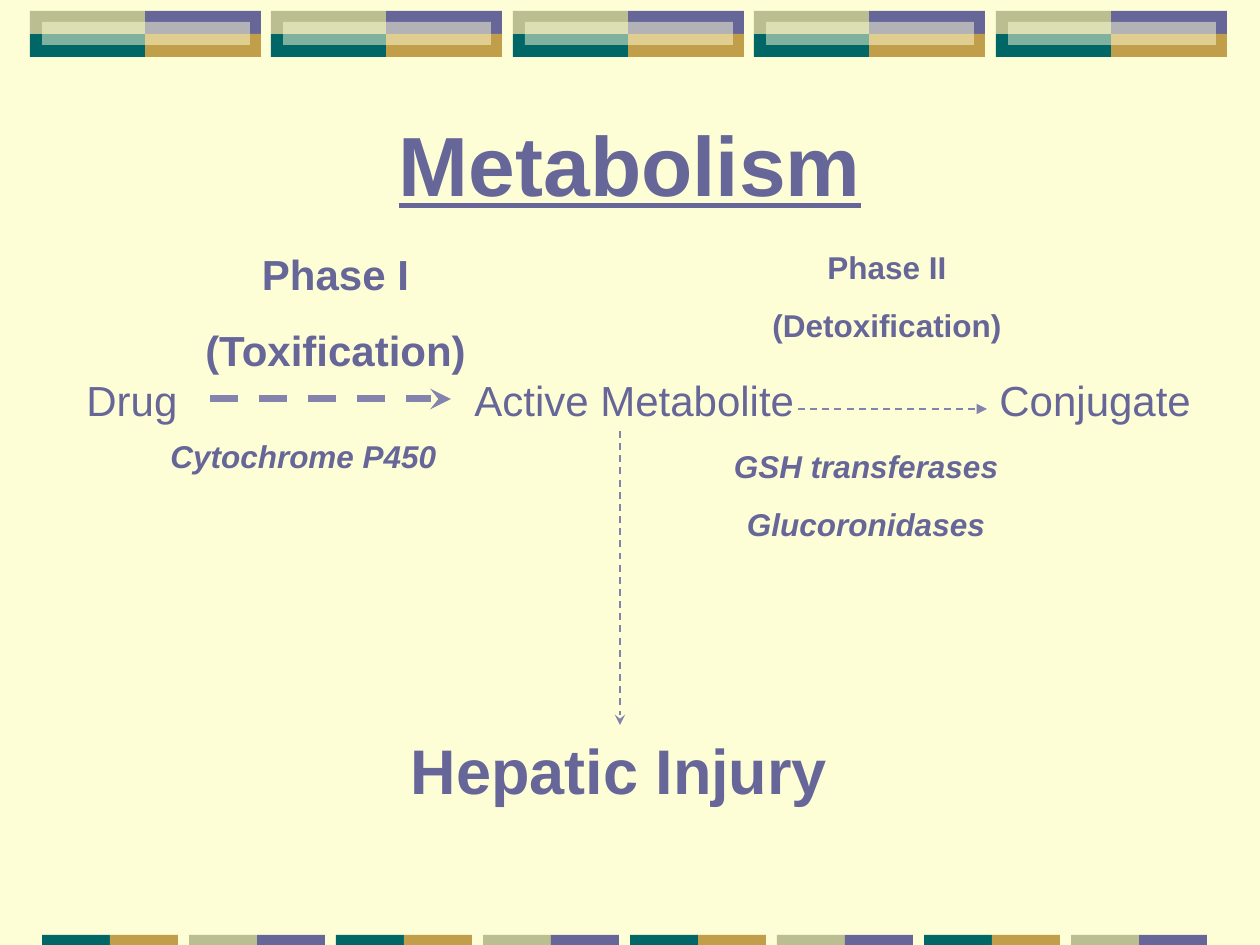
from lxml.etree import SubElement
from pptx import Presentation
from pptx.dml.color import RGBColor
from pptx.enum.dml import MSO_LINE as Dash
from pptx.enum.shapes import MSO_CONNECTOR as Connector, MSO_SHAPE as Shape
from pptx.enum.text import MSO_ANCHOR as Anchor, MSO_AUTO_SIZE as AutoSize, PP_ALIGN as Align
from pptx.oxml.ns import qn
from pptx.util import Pt

EMU_PER_PX = 914400 / 126
COLORS = {
    "cream": "FEFED6",
    "violet": "666699",
    "gold": "C09E4A",
    "teal": "006666",
    "olive": "BABE90",
    "arrow": "8383AD",
}


def px(length):
    return round(length * EMU_PER_PX)


def color(name):
    return RGBColor.from_string(COLORS[name])


def add_tile(slide, left, top, width, height, fill, opacity=None):
    tile = slide.shapes.add_shape(Shape.RECTANGLE, px(left), px(top), px(width), px(height))
    tile.shadow.inherit = False
    tile.line.fill.background()
    tile.fill.solid()
    tile.fill.fore_color.rgb = color(fill)
    if opacity is not None:
        srgb = tile.fill._xPr.find(".//" + qn("a:srgbClr"))
        SubElement(srgb, qn("a:alpha"), val=str(opacity * 1000))


def add_top_band(slide):
    for index in range(5):
        left = 30 + index * 483 // 2
        middle = left + 115
        add_tile(slide, middle, 11, 116, 23, "violet")
        add_tile(slide, middle, 34, 116, 23, "gold")
        add_tile(slide, left, 34, 115, 23, "teal")
        add_tile(slide, left, 11, 115, 23, "olive")
        add_tile(slide, left + 12, 22, 208, 23, "cream", opacity=50)


def add_bottom_band(slide):
    pairs = [("teal", "gold"), ("olive", "violet")]
    for index in range(8):
        for side, fill in enumerate(pairs[index % 2]):
            add_tile(slide, 42 + 147 * index + 68 * side, 935, 68, 10, fill)


def add_label(slide, lines, left, top, width, height, size, align=Align.CENTER,
              bold=False, italic=False, underline=False, anchor=Anchor.TOP):
    label = slide.shapes.add_textbox(px(left), px(top), px(width), px(height))
    frame = label.text_frame
    frame.text = "\n".join(lines)
    frame.word_wrap = True
    frame.vertical_anchor = anchor
    frame.auto_size = AutoSize.NONE if anchor == Anchor.MIDDLE else AutoSize.SHAPE_TO_FIT_TEXT
    for paragraph in frame.paragraphs:
        paragraph.alignment = align
        if anchor == Anchor.TOP:
            paragraph.space_before = Pt(size * 0.625)
        for run in paragraph.runs:
            font = run.font
            font.name = "Arial"
            font.size = Pt(size)
            font.bold = bold
            font.italic = italic
            font.underline = underline
            font.color.rgb = color("violet")


def add_arrow(slide, start, end, weight, head):
    arrow = slide.shapes.add_connector(Connector.STRAIGHT, *map(px, start + end))
    arrow.line.color.rgb = color("arrow")
    arrow.line.width = Pt(weight)
    arrow.line.dash_style = Dash.DASH
    SubElement(arrow.line._get_or_add_ln(), qn("a:tailEnd"), type=head)
    SubElement(arrow._element.spPr, qn("a:effectLst"))


def main():
    deck = Presentation()
    deck.slide_width, deck.slide_height = px(1260), px(945)
    slide = deck.slides.add_slide(deck.slide_layouts[6])
    slide.background.fill.solid()
    slide.background.fill.fore_color.rgb = color("cream")

    add_top_band(slide)
    add_bottom_band(slide)
    add_label(slide, ["Metabolism"], 94, 84, 1072, 158, 48,
              bold=True, underline=True, anchor=Anchor.MIDDLE)

    for compound, left, width in [("Drug", 74, 189), ("Active Metabolite", 462, 347),
                                  ("Conjugate", 987, 252)]:
        add_label(slide, [compound], left, 368, width, 63, 24, align=Align.LEFT)

    add_arrow(slide, (210, 399), (451, 399), 4, "stealth")
    add_arrow(slide, (798, 409), (987, 409), 1, "triangle")
    add_arrow(slide, (620, 431), (620, 725), 1, "stealth")

    add_label(slide, ["Phase I", "(Toxification)"], 136, 242, 399, 140, 24, bold=True)
    add_label(slide, ["Phase II", "(Detoxification)"], 703, 242, 368, 108, 18, bold=True)
    add_label(slide, ["Hepatic Injury"], 388, 725, 462, 88, 36, bold=True)
    add_label(slide, ["Cytochrome P450"], 158, 431, 325, 50, 18,
              align=Align.LEFT, bold=True, italic=True)
    add_label(slide, ["GSH transferases", "Glucoronidases"], 661, 441, 410, 108, 18,
              bold=True, italic=True)

    deck.save("out.pptx")


if __name__ == "__main__":
    main()
